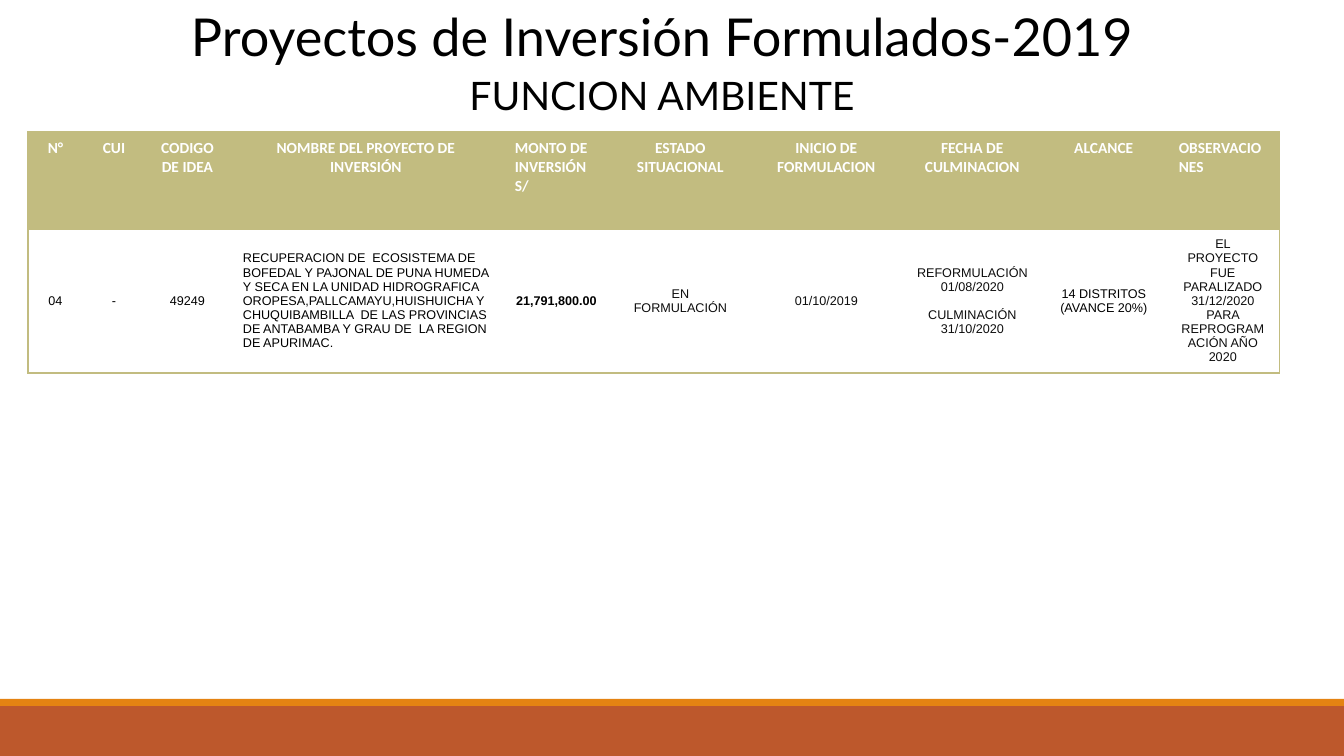
import pptx
import pptx.dml.color
import pptx.enum.shapes
import pptx.enum.text
import pptx.oxml
import pptx.oxml.ns
import pptx.util

PX = 914400 / 100.8
ALIGN = pptx.enum.text.PP_ALIGN
ANCHOR = pptx.enum.text.MSO_ANCHOR
OLIVE, WHITE, BLACK, INK = "C2BC80", "FFFFFF", "000000", "0D0D0D"
NO_STYLE = "{2D5ABB26-0587-4C30-8999-92F81FD0307C}"

COLUMN_WIDTHS = [55, 62, 85, 272, 109, 139, 153, 139, 124, 114]
ROW_HEIGHTS = [97, 144]
HEADERS = [
    ["N°"], ["CUI"], ["CODIGO DE IDEA"], ["NOMBRE DEL PROYECTO DE INVERSIÓN"],
    ["MONTO DE INVERSIÓN S/"], ["ESTADO SITUACIONAL"], ["INICIO DE FORMULACION"],
    ["FECHA DE", "CULMINACION"], ["ALCANCE"], ["OBSERVACIONES"],
]
PROJECT = [
    ["04"], ["-"], ["49249"],
    ["RECUPERACION DE  ECOSISTEMA DE BOFEDAL Y PAJONAL DE PUNA HUMEDA Y SECA "
     "EN LA UNIDAD HIDROGRAFICA OROPESA,PALLCAMAYU,HUISHUICHA Y CHUQUIBAMBILLA  "
     "DE LAS PROVINCIAS DE ANTABAMBA Y GRAU DE  LA REGION DE APURIMAC."],
    ["21,791,800.00"], ["EN FORMULACIÓN"], ["01/10/2019"],
    ["REFORMULACIÓN", "01/08/2020", "CULMINACIÓN", "31/10/2020"],
    ["14 DISTRITOS", "(AVANCE 20%)"],
    ["EL PROYECTO FUE PARALIZADO 31/12/2020", "PARA REPROGRAMACIÓN AÑO 2020"],
]
LEFT_HEADERS = (4, 9)
NAME_COLUMN, AMOUNT_COLUMN, DATE_COLUMN = 3, 4, 7
INK_COLUMNS = (5, 6, 7, 9)


def px(n):
    """Turn pixels into EMU."""
    return pptx.util.Emu(round(n * PX))


def rgb(value):
    """Turn a hex string into a colour."""
    return pptx.dml.color.RGBColor.from_string(value)


def write(tf, lines, font, size, color, bold=False, align=ALIGN.CENTER):
    """Fill a text frame with one paragraph per line."""
    for i, line in enumerate(lines):
        p = tf.paragraphs[0] if i == 0 else tf.add_paragraph()
        p.alignment = align
        r = p.add_run()
        r.text = line
        r.font.name = font
        r.font.size = pptx.util.Pt(size)
        r.font.bold = bold
        r.font.color.rgb = rgb(color)


def add_band(s, top, height, color):
    """Draw a full-width band."""
    sp = s.shapes.add_shape(pptx.enum.shapes.MSO_SHAPE.RECTANGLE,
                            0, px(top), px(1344), px(height))
    sp.shadow.inherit = False
    sp.fill.solid()
    sp.fill.fore_color.rgb = rgb(color)
    sp.line.fill.background()


def add_heading(s, top, text, size):
    """Add a centred heading line."""
    tf = s.shapes.add_textbox(px(80), px(top), px(1164), px(67)).text_frame
    tf.word_wrap = True
    tf.vertical_anchor = ANCHOR.BOTTOM
    tf.margin_left = tf.margin_right = tf.margin_top = tf.margin_bottom = 0
    write(tf, [text], "Lato", size, BLACK)


def set_borders(cell, sides):
    """Draw olive lines on the given sides of a cell."""
    tc_pr = cell._tc.get_or_add_tcPr()
    for side in sides:
        tc_pr.append(pptx.oxml.parse_xml(
            f'<a:ln{side} {pptx.oxml.ns.nsdecls("a")} w="12700"><a:solidFill>'
            f'<a:srgbClr val="{OLIVE}"/></a:solidFill></a:ln{side}>'))


def format_cell(cell, sides, anchor):
    """Set margins, anchor and borders of a cell."""
    cell.margin_left = cell.margin_right = px(13)
    cell.margin_top = cell.margin_bottom = px(7)
    cell.vertical_anchor = anchor
    set_borders(cell, sides)


def add_projects_table(s):
    """Add the table of investment projects."""
    table = s.shapes.add_table(2, len(HEADERS), px(28), px(132),
                               px(sum(COLUMN_WIDTHS)), px(sum(ROW_HEIGHTS))).table
    table.first_row = table.horz_banding = False
    table._tbl.tblPr.find(pptx.oxml.ns.qn("a:tableStyleId")).text = NO_STYLE
    for row, height in zip(table.rows, ROW_HEIGHTS):
        row.height = px(height)
    last = len(HEADERS) - 1
    for c, width in enumerate(COLUMN_WIDTHS):
        table.columns[c].width = px(width)
        edges = ("L" if c == 0 else "") + ("R" if c == last else "")
        head, body = table.cell(0, c), table.cell(1, c)
        format_cell(head, edges + "T", ANCHOR.TOP)
        head.fill.solid()
        head.fill.fore_color.rgb = rgb(OLIVE)
        write(head.text_frame, HEADERS[c], "Calibri", 11, WHITE, True,
              ALIGN.LEFT if c in LEFT_HEADERS else ALIGN.CENTER)
        format_cell(body, edges + "TB", ANCHOR.MIDDLE)
        body.fill.background()
        write(body.text_frame, PROJECT[c], "Arial", 9,
              INK if c in INK_COLUMNS else BLACK, c == AMOUNT_COLUMN,
              ALIGN.LEFT if c == NAME_COLUMN else ALIGN.CENTER)
    dates = table.cell(1, DATE_COLUMN).text_frame
    dates.paragraphs[2].space_before = pptx.util.Pt(10)


def main():
    """Build and save the slide."""
    prs = pptx.Presentation()
    prs.slide_width, prs.slide_height = px(1344), px(756)
    s = prs.slides.add_slide(prs.slide_layouts[6])
    add_band(s, 706, 50, "BD582C")
    add_band(s, 699, 7, "E48312")
    add_projects_table(s)
    add_heading(s, 0, "Proyectos de Inversión Formulados-2019", 37.3)
    add_heading(s, 51, "FUNCION AMBIENTE", 28)
    prs.save("out.pptx")


if __name__ == "__main__":
    main()
